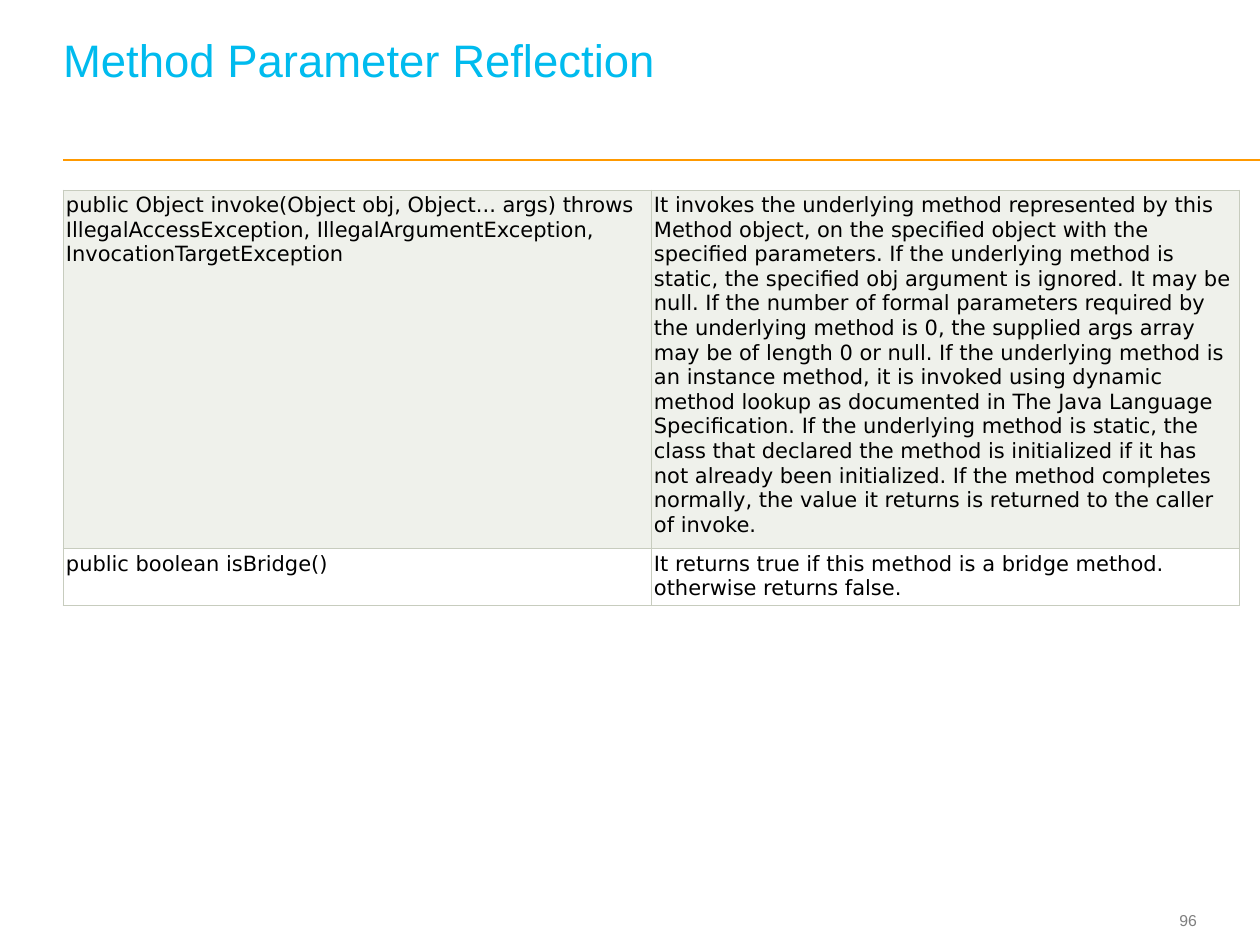
from dataclasses import dataclass

from lxml.etree import SubElement as Sub
from pptx import Presentation
from pptx.dml.color import RGBColor as Rgb
from pptx.enum.shapes import MSO_CONNECTOR as Conn
from pptx.enum.text import MSO_ANCHOR as Anchor, PP_ALIGN as Align
from pptx.oxml.ns import qn
from pptx.util import Emu, Pt

SCALE = 914400 / 126


def px(n: int) -> Emu:
    return Emu(round(n * SCALE))


@dataclass(frozen=True)
class Theme:
    head: str = "00BBEE"
    rule: str = "FF9900"
    page: str = "7F7F7F"
    ink: str = "000000"
    edge: str = "C7CCBE"
    bands: tuple = ("EFF1EB", "FFFFFF")
    sans: str = "Arial"
    body: str = "DejaVu Sans"
    head_pt: int = 26
    body_pt: int = 12
    page_pt: int = 9
    edge_pt: float = 0.6


@dataclass(frozen=True)
class Label:
    text: str
    box: tuple
    size: int
    color: str
    align: Align
    anchor: Anchor
    foot: int = 0  # bottom inset


@dataclass(frozen=True)
class Row:
    high: int
    method: str
    note: str


THEME = Theme()

LABELS = (
    Label("Method Parameter Reflection", (63, 24, 1130, 108), THEME.head_pt,
          THEME.head, Align.LEFT, Anchor.BOTTOM, 46),
    Label("96", (1123, 905, 74, 34), THEME.page_pt,
          THEME.page, Align.RIGHT, Anchor.MIDDLE),
)

ROWS = (
    Row(286,
        "public Object invoke(Object obj, Object... args) throws "
        "IllegalAccessException, IllegalArgumentException, "
        "InvocationTargetException",
        "It invokes the underlying method represented by this Method object, "
        "on the specified object with the specified parameters. If the "
        "underlying method is static, the specified obj argument is ignored. "
        "It may be null. If the number of formal parameters required by the "
        "underlying method is 0, the supplied args array may be of length 0 "
        "or null. If the underlying method is an instance method, it is "
        "invoked using dynamic method lookup as documented in The Java "
        "Language Specification. If the underlying method is static, the "
        "class that declared the method is initialized if it has not already "
        "been initialized. If the method completes normally, the value it "
        "returns is returned to the caller of invoke."),
    Row(44, "public boolean isBridge()",
        "It returns true if this method is a bridge method. otherwise "
        "returns false."),
)


def style(para, face: str, size: int, color: str) -> None:
    for run in para.runs:
        run.font.name = face
        run.font.size = Pt(size)
        run.font.color.rgb = Rgb.from_string(color)


def draw_label(slide, item: Label) -> None:
    frame = slide.shapes.add_textbox(*map(px, item.box)).text_frame
    frame.word_wrap = True
    frame.vertical_anchor = item.anchor
    frame.margin_left = frame.margin_right = frame.margin_top = 0
    frame.margin_bottom = px(item.foot)
    frame.text = item.text
    para = frame.paragraphs[0]
    para.alignment = item.align
    para.line_spacing = Pt(item.size)
    style(para, THEME.sans, item.size, item.color)


def draw_rule(slide, left: int, right: int, y: int) -> None:
    rule = slide.shapes.add_connector(
        Conn.STRAIGHT, px(left), px(y), px(right), px(y))
    rule.line.color.rgb = Rgb.from_string(THEME.rule)
    rule.line.width = Pt(1)
    Sub(rule._element.spPr, qn("a:effectLst"))


def fill_cell(cell, text: str, band: str) -> None:
    cell.margin_left = cell.margin_right = px(3)
    cell.margin_top = cell.margin_bottom = px(3)
    # Borders go before the fill
    props = cell._tc.get_or_add_tcPr()
    for side in ("lnL", "lnR", "lnT", "lnB"):
        line = Sub(props, qn(f"a:{side}"), w=str(Pt(THEME.edge_pt)))
        paint = Sub(line, qn("a:solidFill"))
        Sub(paint, qn("a:srgbClr"), val=THEME.edge)
    cell.fill.solid()
    cell.fill.fore_color.rgb = Rgb.from_string(band)
    cell.text_frame.text = text
    style(cell.text_frame.paragraphs[0], THEME.body, THEME.body_pt, THEME.ink)


def draw_table(slide, left: int, top: int, wide: int) -> None:
    high = sum(row.high for row in ROWS)
    table = slide.shapes.add_table(
        len(ROWS), 2, px(left), px(top), px(wide), px(high)).table
    table.first_row = False
    table.horz_banding = False
    for i, (row, band) in enumerate(zip(ROWS, THEME.bands)):
        table.rows[i].height = px(row.high)
        for j, text in enumerate((row.method, row.note)):
            fill_cell(table.cell(i, j), text, band)


def main() -> None:
    deck = Presentation()
    deck.slide_width, deck.slide_height = px(1260), px(945)
    slide = deck.slides.add_slide(deck.slide_layouts[6])
    # Rule, title and page number
    draw_rule(slide, 63, 1260, 160)
    for item in LABELS:
        draw_label(slide, item)
    # Method table
    draw_table(slide, 63, 190, 1176)
    deck.save("out.pptx")


if __name__ == "__main__":
    main()
